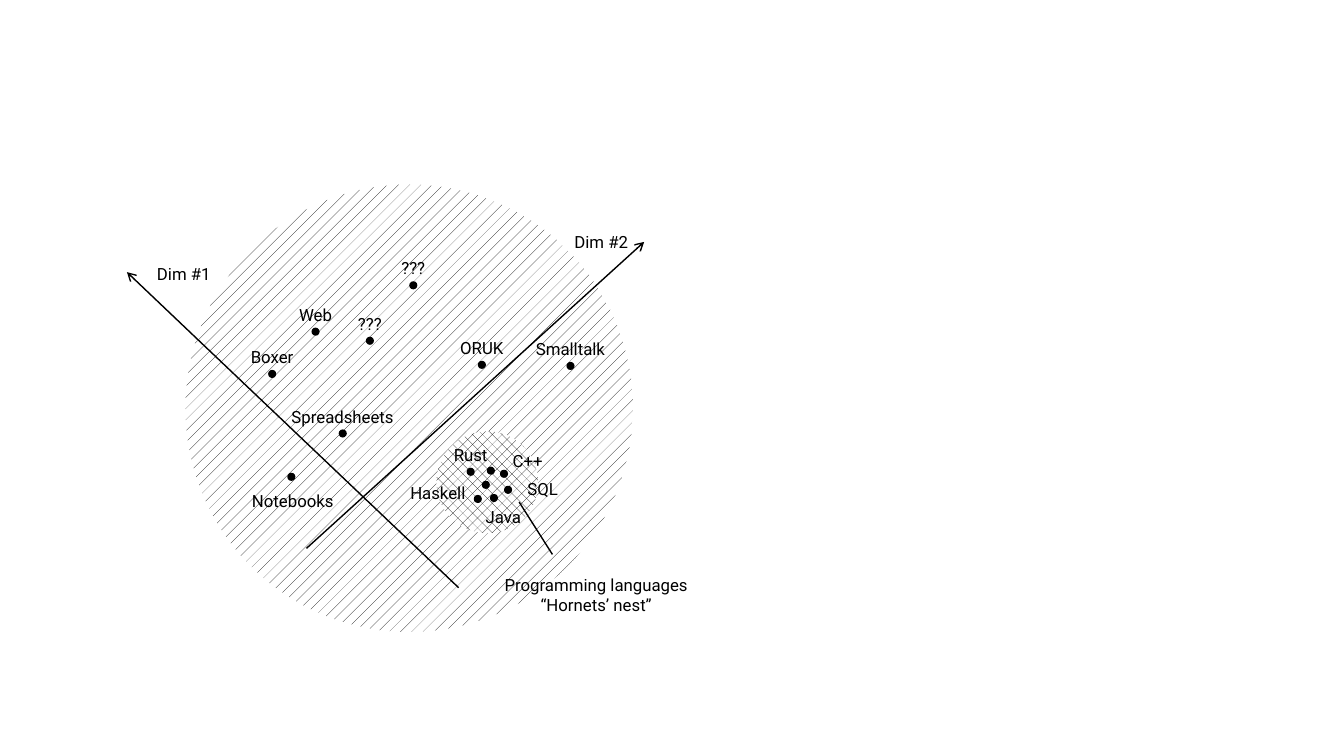
from lxml import etree
from pptx import Presentation
from pptx.dml.color import RGBColor
from pptx.enum import dml, shapes, text
from pptx.oxml import ns
from pptx.util import Pt

BLACK = RGBColor(0, 0, 0)
WHITE = RGBColor(255, 255, 255)
DOT = 5.8
LABEL_RISE = 23
LABEL_WIDTH = 116
NOTE_WIDTH = 149

deck = Presentation()
deck.slide_width, deck.slide_height = Pt(960), Pt(540)
page = deck.slides.add_slide(deck.slide_layouts[6])


def add_circle(x, y, size, pattern=None):
    circle = page.shapes.add_shape(
        shapes.MSO_SHAPE.OVAL, Pt(x - size / 2), Pt(y - size / 2), Pt(size), Pt(size))
    circle.shadow.inherit = False
    circle.line.fill.background()
    if pattern is None:
        circle.fill.solid()
    else:
        circle.fill.patterned()
        circle.fill.pattern = pattern
        circle.fill.back_color.rgb = WHITE
    circle.fill.fore_color.rgb = BLACK


def add_label(wording, x, top, width=LABEL_WIDTH, height=21.8):
    box = page.shapes.add_textbox(Pt(x - width / 2), Pt(top), Pt(width), Pt(height))
    box.text_frame.word_wrap = True
    box.text_frame.auto_size = text.MSO_AUTO_SIZE.SHAPE_TO_FIT_TEXT
    para = box.text_frame.paragraphs[0]
    para.text = wording
    para.alignment = text.PP_ALIGN.CENTER
    span = para.runs[0]
    span.font.name = "Roboto"
    span.font.size = Pt(12)
    span.font.color.rgb = BLACK


add_circle(292.3, 291.6, 319.7, dml.MSO_PATTERN.PERCENT_10)
add_circle(348.1, 344.5, 72.7, dml.MSO_PATTERN.PERCENT_30)

systems = [
    ("Boxer", 194.4, 267.1),
    ("Web", 225.4, 236.9),
    ("Spreadsheets", 244.8, 309.6),
    ("Smalltalk", 407.5, 261.4),
    ("ORUK", 344.2, 260.6),
    ("Rust", 336.2, 337),
    ("???", 264.2, 243.4),
    ("???", 295.2, 203.8),
]
for name, x, y in systems:
    add_label(name, x, y - LABEL_RISE)
    add_circle(x, y, DOT)

offset_labels = [
    ("Notebooks", 209.2, 347),
    ("C++", 376.9, 318.2),
    ("Haskell", 312.8, 341.3),
    ("SQL", 387.7, 338.4),
    ("Java", 359.6, 358.6),
]
for name, x, top in offset_labels:
    add_label(name, x, top)

loose_dots = [
    (208.1, 340.6), (360, 338.4), (347, 346.3), (362.9, 349.9),
    (352.8, 355.7), (350.6, 336.2), (341.3, 356.4),
]
for x, y in loose_dots:
    add_circle(x, y, DOT)

lines = [
    (327.6, 419.8, 90.7, 194.4, True),
    (218.9, 391.7, 460.1, 172.8, True),
    (394.6, 396, 370.8, 358.6, False),
]
for x1, y1, x2, y2, is_axis in lines:
    line = page.shapes.add_connector(
        shapes.MSO_CONNECTOR.STRAIGHT, Pt(x1), Pt(y1), Pt(x2), Pt(y2))
    line.line.color.rgb = BLACK
    line.line.width = Pt(1)
    if is_axis:
        etree.SubElement(line.line._get_or_add_ln(), ns.qn("a:tailEnd"), type="arrow")
    etree.SubElement(line._element.spPr, ns.qn("a:effectLst"))

add_label("Dim #1", 131.4, 185, NOTE_WIDTH)
add_label("Dim #2", 429.5, 162, NOTE_WIDTH)
add_label("Programming languages “Hornets’ nest”", 425.9, 406.8, NOTE_WIDTH, 36.4)

deck.save("out.pptx")
